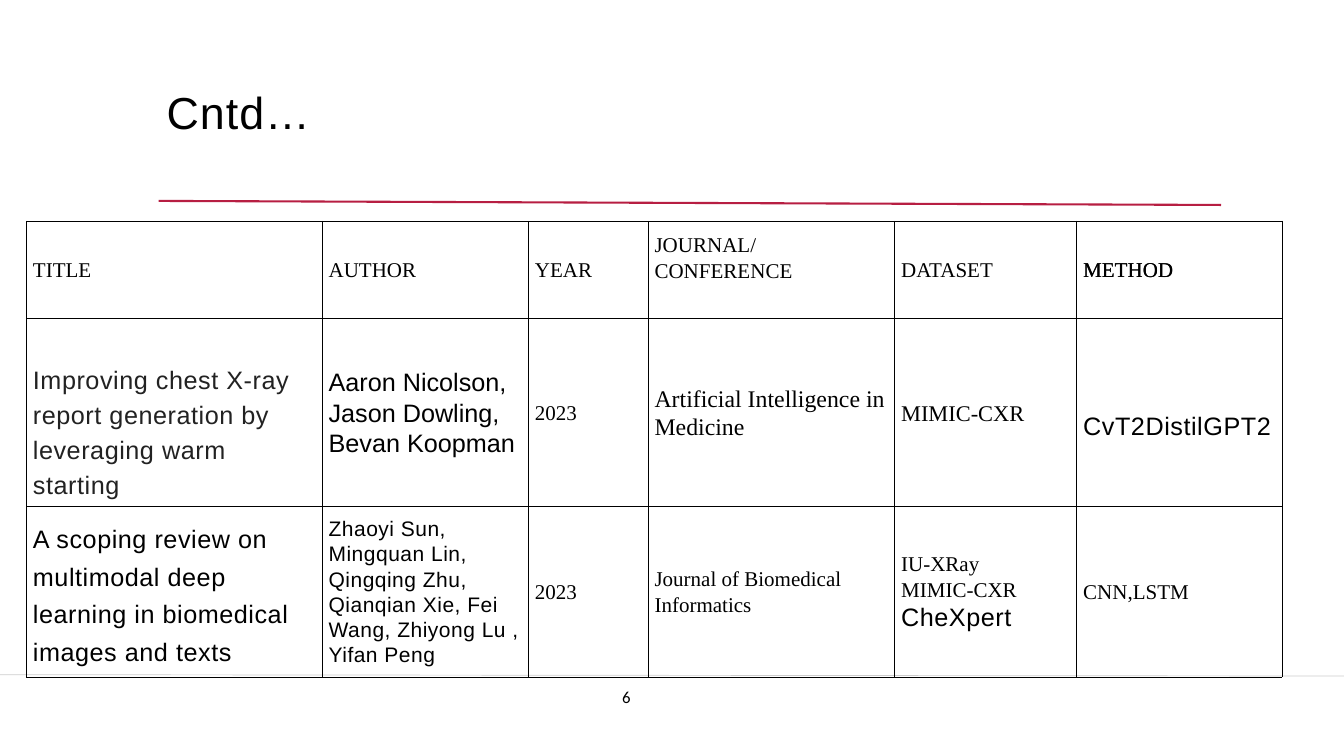
"""Build the literature survey slide with its paper comparison table."""
from dataclasses import dataclass
from lxml import etree
from pptx import Presentation
from pptx import util as u
from pptx.dml.color import RGBColor
from pptx.enum import shapes, text
from pptx.oxml import ns

Inches, Pt = u.Inches, u.Pt


@dataclass(frozen=True)
class Style:
    font: str
    size: float
    leading: float = None
    tracking: float = 0
    colour: str = "000000"


SERIF, SANS = "Times New Roman", "Arial"
THEME = {
    "title": Style(SANS, 48, 51.8, 1.1),
    "body": Style(SERIF, 22.5, 27),
    "dataset": Style(SERIF, 24, 28.8),
    "journal": Style(SERIF, 25.5, 30.6),
    "paper": Style(SANS, 27, 37.3, 0.6, "222222"),
    "review": Style(SANS, 27, 40.1, 0.6),
    "author": Style(SANS, 27, 32.4),
    "author list": Style(SANS, 22.5, 27, 0.5),
    "method": Style(SANS, 27, 32.4, 0.6),
    "page": Style("Calibri", 18),
    "accent": "B71E42",
    "rule": "000001",
    "border": "000000",
}

TITLE = "Cntd…"
PAGE = "6"
HEADERS = ["TITLE", "AUTHOR", "YEAR", "JOURNAL/CONFERENCE", "DATASET", "METHOD"]
PAPERS = [
    [
        [("Improving chest X-ray report generation by leveraging warm starting", "paper")],
        [("Aaron Nicolson, Jason Dowling, Bevan Koopman", "author")],
        [("2023", "body")],
        [("Artificial Intelligence in Medicine", "journal")],
        [("MIMIC-CXR", "dataset")],
        [("CvT2DistilGPT2", "method")],
    ],
    [
        [("A scoping review on multimodal deep learning in biomedical images and texts", "review")],
        [("Zhaoyi Sun, Mingquan Lin, Qingqing Zhu, Qianqian Xie, Fei Wang, "
          "Zhiyong Lu , Yifan Peng", "author list")],
        [("2023", "body")],
        [("Journal of Biomedical Informatics", "body")],
        [("IU-XRay", "body"), ("MIMIC-CXR", "body"), ("CheXpert", "method")],
        [("CNN,LSTM", "body")],
    ],
]
ROWS = [[[(header, "body")] for header in HEADERS]] + PAPERS
COLUMN_WIDTHS = [4.4, 3.07, 1.78, 3.67, 2.71, 3.06]
ROW_HEIGHTS = [1.45, 2.78, 2.54]
TABLE_LEFT, TABLE_TOP = 0.39, 3.29
CELL_MARGIN = 0.1
EXTRA_TOP = {"Improving chest X-ray report generation by leveraging warm starting": 0.52,
             "CvT2DistilGPT2": 0.4}
EXTRA_BOTTOM = {"JOURNAL/CONFERENCE": 0.37}


def write(frame, lines):
    frame.word_wrap = True
    for index, (words, style_name) in enumerate(lines):
        style = THEME[style_name]
        paragraph = frame.add_paragraph() if index else frame.paragraphs[0]
        paragraph.text = words
        paragraph.alignment = text.PP_ALIGN.LEFT
        if style.leading:
            paragraph.line_spacing = Pt(style.leading)
        font = paragraph.font
        font.name, font.size, font.bold = style.font, Pt(style.size), False
        font.color.rgb = RGBColor.from_string(style.colour)
        font._element.set("spc", str(round(style.tracking * 100)))


def add_borders(cell):
    properties = cell._tc.get_or_add_tcPr()
    for index, side in enumerate(("lnL", "lnR", "lnT", "lnB")):
        border = etree.Element(ns.qn(f"a:{side}"), w=str(Pt(0.37)))
        fill = etree.SubElement(border, ns.qn("a:solidFill"))
        etree.SubElement(fill, ns.qn("a:srgbClr"), val=THEME["border"])
        properties.insert(index, border)


def add_grid(slide, left, rows, widths, heights):
    table = slide.shapes.add_table(
        len(rows), len(widths), Inches(left), Inches(TABLE_TOP),
        Inches(sum(widths)), Inches(sum(heights))).table
    table.first_row = table.horz_banding = False
    for column, width in zip(table.columns, widths):
        column.width = Inches(width)
    for row, height, contents in zip(table.rows, heights, rows):
        row.height = Inches(height)
        for cell, lines in zip(row.cells, contents):
            first = lines[0][0]
            cell.fill.background()
            cell.vertical_anchor = text.MSO_ANCHOR.MIDDLE
            cell.margin_left = cell.margin_right = Inches(CELL_MARGIN)
            cell.margin_top = Inches(CELL_MARGIN + EXTRA_TOP.get(first, 0))
            cell.margin_bottom = Inches(CELL_MARGIN + EXTRA_BOTTOM.get(first, 0))
            write(cell.text_frame, lines)
            add_borders(cell)


def add_rule(slide, start, end, colour, width, opacity=100):
    line = slide.shapes.add_connector(
        shapes.MSO_CONNECTOR.STRAIGHT, *map(Inches, start + end))
    line.line.color.rgb = RGBColor.from_string(colour)
    line.line.width = Pt(width)
    properties = line._element.spPr
    if opacity < 100:
        colour_node = properties.find(f".//{ns.qn('a:srgbClr')}")
        etree.SubElement(colour_node, ns.qn("a:alpha"), val=str(opacity * 1000))
    etree.SubElement(properties, ns.qn("a:effectLst"))


def add_title(slide):
    title = slide.shapes.title
    title.left, title.top, title.width, title.height = map(Inches, (2.48, 1.34, 15.55, 1.65))
    frame = title.text_frame
    frame.margin_left = frame.margin_top = frame.margin_right = frame.margin_bottom = 0
    frame.vertical_anchor = text.MSO_ANCHOR.TOP
    frame.auto_size = text.MSO_AUTO_SIZE.NONE
    write(frame, [(TITLE, "title")])


def main():
    presentation = Presentation()
    presentation.slide_width, presentation.slide_height = Inches(20), Inches(11.25)
    slide = presentation.slides.add_slide(presentation.slide_layouts.get_by_name("Title Only"))
    add_rule(slide, (-0.01, 10.04), (20.01, 10.06), THEME["rule"], 0.75, opacity=20)
    add_rule(slide, (2.36, 2.99), (18.17, 3.05), THEME["accent"], 2.25)
    add_title(slide)
    add_grid(slide, TABLE_LEFT, ROWS, COLUMN_WIDTHS, ROW_HEIGHTS)
    method_left = TABLE_LEFT + sum(COLUMN_WIDTHS[:-1])
    add_grid(slide, method_left, [ROWS[0][-1:]], COLUMN_WIDTHS[-1:], ROW_HEIGHTS[:1])
    page = slide.shapes.add_textbox(*map(Inches, (9.16, 10.17, 1.25, 0.4)))
    write(page.text_frame, [(PAGE, "page")])
    presentation.save("out.pptx")


if __name__ == "__main__":
    main()
